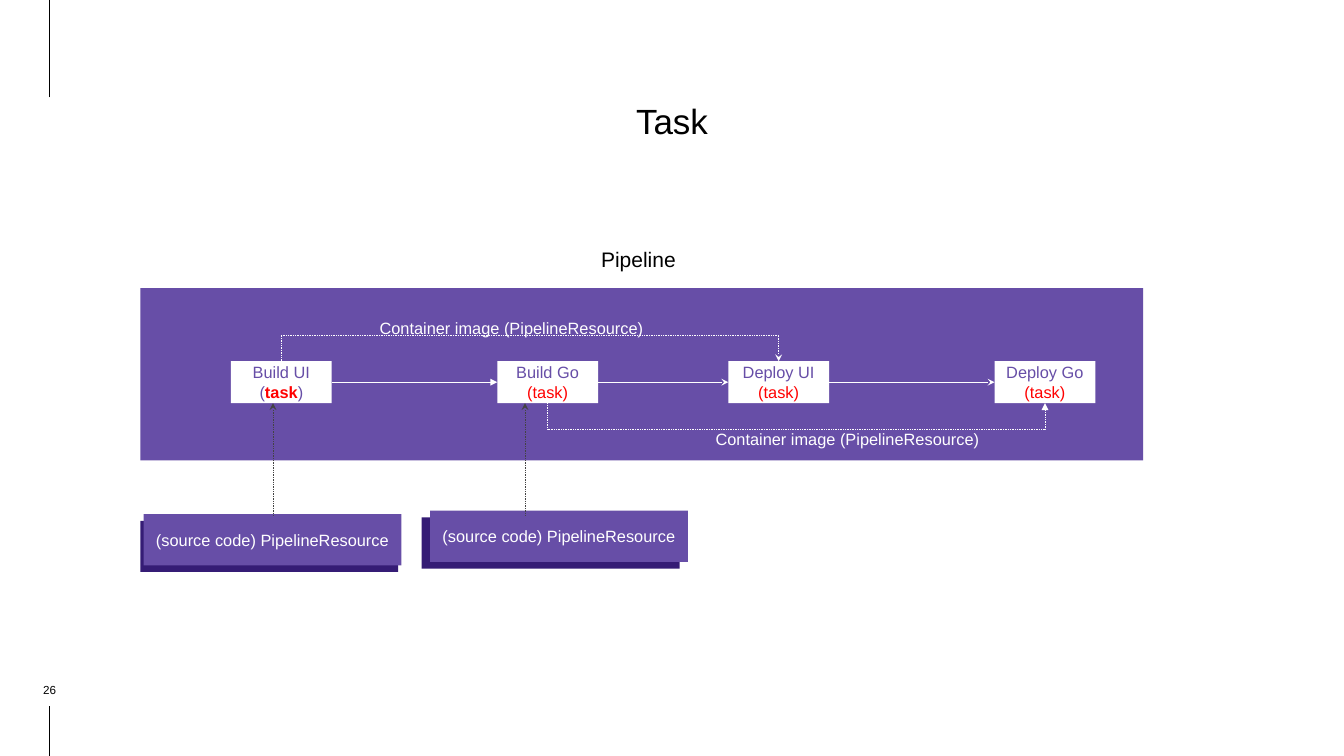
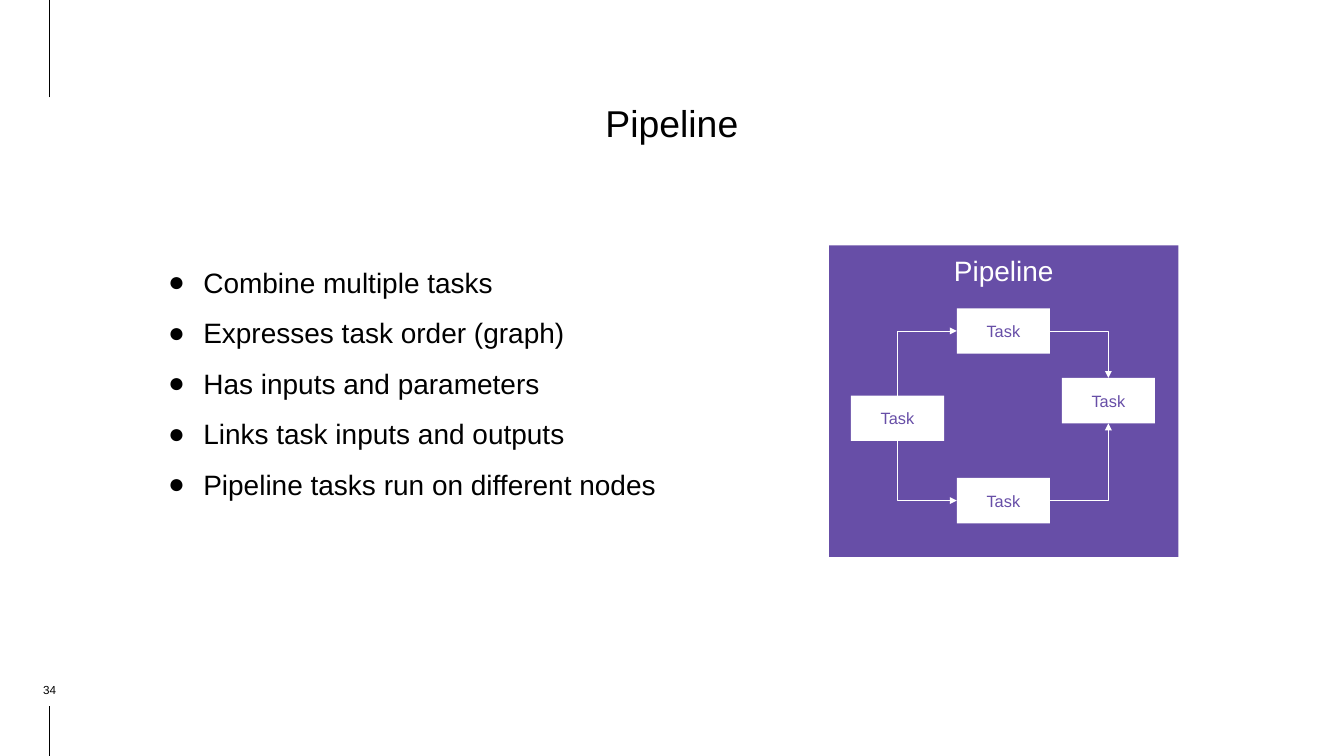
from lxml import etree
from pptx import Presentation
from pptx.dml.color import RGBColor
from pptx.enum.dml import MSO_LINE
from pptx.enum.shapes import MSO_CONNECTOR, MSO_SHAPE
from pptx.enum.text import MSO_ANCHOR, MSO_AUTO_SIZE, PP_ALIGN
from pptx.oxml.ns import qn
from pptx.util import Emu, Inches, Pt

RECTANGLE = MSO_SHAPE.RECTANGLE
STRAIGHT, ELBOW = MSO_CONNECTOR.STRAIGHT, MSO_CONNECTOR.ELBOW
DOTTED = MSO_LINE.ROUND_DOT
LEFT, CENTER = PP_ALIGN.LEFT, PP_ALIGN.CENTER
TOP, MIDDLE, BOTTOM = MSO_ANCHOR.TOP, MSO_ANCHOR.MIDDLE, MSO_ANCHOR.BOTTOM
NO_AUTOFIT = MSO_AUTO_SIZE.NONE

FONT = "Arial"
BLACK = RGBColor(0x00, 0x00, 0x00)
WHITE = RGBColor(0xFF, 0xFF, 0xFF)
PURPLE = RGBColor(0x67, 0x4E, 0xA7)
DARK_PURPLE = RGBColor(0x35, 0x1C, 0x75)
GRAY = RGBColor(0x43, 0x43, 0x43)
RED = RGBColor(0xFF, 0x00, 0x00)

# Connection sites of a rectangle
SITE_TOP, SITE_LEFT, SITE_BOTTOM, SITE_RIGHT = range(4)
QUARTER_TURN_BACK = "16200000"
LOOP_THICKNESS = Emu(600)
LOOP_DEPTH = Inches(0.26)

MARGIN_RULES = [(1.16, 0), (9, 8.4)]  # start and end height
MARGIN_RULE_X = 0.59

# Slide "Task"
TASK_TOP, TASK_WIDTH, TASK_HEIGHT = 4.3, 1.2, 0.5
TASKS = [("Build UI", 2.75), ("Build Go", 5.92), ("Deploy UI", 8.67), ("Deploy Go", 11.84)]
TASK_ARROWS = ["triangle", "stealth", "stealth"]
SOURCE_LABEL = "(source code) PipelineResource"
SOURCES = [(1.71, 6.12, 0.04), (5.12, 6.08, 0.1)]  # left, top, backing offset
SOURCE_SIZE = (3.07, 0.61)
BACKING_DROP = 0.08
SOURCE_ARROWS = [3.25, 6.25]
IMAGE_LABEL = "Container image (PipelineResource)"
# first task, last task, site, direction, arrowhead, label left and top
IMAGE_LOOPS = [
    (1, 3, SITE_BOTTOM, 1, "triangle", 8.42, 5.02),
    (0, 2, SITE_TOP, -1, "stealth", 4.42, 3.69),
]

# Slide "Pipeline"
BULLETS = [
    "Combine multiple tasks",
    "Expresses task order (graph)",
    "Has inputs and parameters",
    "Links task inputs and outputs",
    "Pipeline tasks run on different nodes",
]
NODE_SIZE = (1.11, 0.54)
NODES = {"first": (10.13, 4.71), "upper": (11.39, 3.67), "lower": (11.39, 5.69), "last": (12.64, 4.5)}
EDGES = [
    ("first", SITE_TOP, "upper", SITE_LEFT),
    ("first", SITE_BOTTOM, "lower", SITE_LEFT),
    ("upper", SITE_RIGHT, "last", SITE_TOP),
    ("lower", SITE_RIGHT, "last", SITE_BOTTOM),
]


def inches(*values):
    return [Inches(value) for value in values]


def set_text(shape, lines, size, color, align=CENTER, anchor=TOP, inset=0.1, spacing=None):
    """Fill a shape; a line is a string or a list of (text, color, bold) runs."""
    frame = shape.text_frame
    frame.word_wrap = True
    frame.auto_size = NO_AUTOFIT
    frame.vertical_anchor = anchor
    frame.margin_left = frame.margin_right = Inches(inset)
    frame.margin_top = frame.margin_bottom = Inches(inset)
    for index, line in enumerate(lines):
        paragraph = frame.paragraphs[0] if index == 0 else frame.add_paragraph()
        paragraph.alignment = align
        paragraph.space_before = Pt(0)
        paragraph.line_spacing = spacing
        for text, run_color, bold in [(line, color, False)] if isinstance(line, str) else line:
            run = paragraph.add_run()
            run.text = text
            run.font.name = FONT
            run.font.size = Pt(size)
            run.font.bold = bold
            run.font.color.rgb = run_color


def add_label(slide, box, text, size, color, **layout):
    set_text(slide.shapes.add_textbox(*inches(*box)), [text], size, color, **layout)


def add_box(slide, box, fill, lines=(), size=14, color=WHITE, anchor=MIDDLE):
    shape = slide.shapes.add_shape(RECTANGLE, *inches(*box))
    shape.shadow.inherit = False
    shape.fill.solid()
    shape.fill.fore_color.rgb = fill
    shape.line.fill.background()
    if lines:
        set_text(shape, lines, size, color, anchor=anchor)
    return shape


def add_line(slide, points=(0, 0, 0, 0), color=WHITE, arrow=None, dash=None, kind=STRAIGHT):
    line = slide.shapes.add_connector(kind, *inches(*points))
    line.line.color.rgb = color
    line.line.width = Pt(0.75)
    if dash:
        line.line.dash_style = dash
    properties = line._element.spPr
    if arrow:
        etree.SubElement(properties.find(qn("a:ln")), qn("a:tailEnd"), type=arrow)
    etree.SubElement(properties, qn("a:effectLst"))
    return line


def add_elbow(slide, begin, begin_site, end, end_site, preset, arrow, dash=None):
    line = add_line(slide, arrow=arrow, dash=dash, kind=ELBOW)
    line.begin_connect(begin, begin_site)
    line.end_connect(end, end_site)
    line._element.spPr.find(qn("a:prstGeom")).set("prst", preset)
    return line


def turn_upright(line, thickness, going_down):
    """Make an elbow leave its first shape vertically and run to the right."""
    center_x = (line.begin_x + line.end_x) // 2
    center_y = (line.begin_y + line.end_y) // 2
    span = abs(line.end_x - line.begin_x)
    transform = line._element.spPr.find(qn("a:xfrm"))
    for flip in ("flipH", "flipV"):
        transform.attrib.pop(flip, None)
    transform.set("rot", QUARTER_TURN_BACK)
    if going_down:
        transform.set("flipH", "1")
    line.left, line.top = center_x - thickness // 2, center_y - span // 2
    line.width, line.height = thickness, span


def add_loop(slide, begin, end, site, direction, arrow):
    line = add_elbow(slide, begin, site, end, site, "bentConnector3", arrow, DOTTED)
    turn_upright(line, LOOP_THICKNESS, True)
    geometry = line._element.spPr.find(qn("a:prstGeom"))
    guides = geometry.find(qn("a:avLst"))
    if guides is None:
        guides = etree.SubElement(geometry, qn("a:avLst"))
    depth = direction * LOOP_DEPTH * 100000 // LOOP_THICKNESS
    etree.SubElement(guides, qn("a:gd"), name="adj1", fmla=f"val {depth}")


def add_bullets(body):
    body.left, body.top, body.width, body.height = inches(1.92, 2.96, 7.69, 3.88)
    set_text(body, BULLETS, 24, BLACK, align=LEFT, inset=0, spacing=1.5)
    for paragraph in body.text_frame.paragraphs:
        properties = paragraph._p.get_or_add_pPr()
        properties.set("marL", str(Inches(0.5)))
        properties.set("indent", str(Inches(-0.42)))
        bullet_color = etree.SubElement(properties, qn("a:buClr"))
        etree.SubElement(bullet_color, qn("a:srgbClr"), val=str(BLACK))
        etree.SubElement(properties, qn("a:buFont"), typeface=FONT)
        etree.SubElement(properties, qn("a:buChar"), char="●")


def add_slide(presentation, layout_index, title, title_size, number):
    slide = presentation.slides.add_slide(presentation.slide_layouts[layout_index])
    set_text(slide.shapes.title, [title], title_size, BLACK, inset=0, spacing=1.3)
    add_label(slide, (0.11, 8.1, 0.96, 0.19), number, 10, BLACK, anchor=BOTTOM, inset=0)
    return slide


def style_master(presentation, slide):
    """Place the title and move the margin rules to the master."""
    master = presentation.slide_master
    title = master.placeholders[0]
    title.left, title.top, title.width, title.height = inches(3.25, 1.03, 9.5, 1.06)
    for start, end in MARGIN_RULES:
        rule = add_line(slide, (MARGIN_RULE_X, start, MARGIN_RULE_X, end), BLACK)
        master.shapes._spTree.append(rule._element)


def build_task_slide(slide):
    for left, top, offset in SOURCES:
        add_box(slide, (left - offset, top + BACKING_DROP, *SOURCE_SIZE), DARK_PURPLE)
        add_box(slide, (left, top, *SOURCE_SIZE), PURPLE, [SOURCE_LABEL])
    add_box(slide, (1.67, 3.43, 11.94, 2.05), PURPLE)
    add_label(slide, (6.29, 2.84, 2.62, 0.74), "Pipeline", 18, BLACK)

    boxes = []
    for index, (name, left) in enumerate(TASKS):
        kind = [("(task)", RED, False)]
        if index == 0:
            kind = [("(", PURPLE, False), ("task", RED, True), (")", PURPLE, False)]
        box = (left, TASK_TOP, TASK_WIDTH, TASK_HEIGHT)
        boxes.append(add_box(slide, box, WHITE, [name, kind], color=PURPLE))
    for begin, end, arrow in zip(boxes, boxes[1:], TASK_ARROWS):
        line = add_line(slide, arrow=arrow)
        line.begin_connect(begin, SITE_RIGHT)
        line.end_connect(end, SITE_LEFT)
    for first, last, site, direction, arrow, left, top in IMAGE_LOOPS:
        add_loop(slide, boxes[first], boxes[last], site, direction, arrow)
        add_label(slide, (left, top, 3.94, 0.19), IMAGE_LABEL, 14, WHITE, align=LEFT)
    for x in SOURCE_ARROWS:
        add_line(slide, (x, 6.14, x, TASK_TOP + TASK_HEIGHT), GRAY, "stealth", DOTTED)


def build_pipeline_slide(slide):
    add_bullets(slide.placeholders[1])
    add_box(slide, (9.87, 2.92, 4.16, 3.71), PURPLE, ["Pipeline"], 24, anchor=TOP)
    boxes = {
        name: add_box(slide, (*corner, *NODE_SIZE), WHITE, ["Task"], color=PURPLE)
        for name, corner in NODES.items()
    }
    for begin, begin_site, end, end_site in EDGES:
        line = add_elbow(slide, boxes[begin], begin_site, boxes[end], end_site,
                         "bentConnector2", "triangle")
        if begin_site in (SITE_TOP, SITE_BOTTOM):
            turn_upright(line, line.height, begin_site == SITE_BOTTOM)


def main():
    presentation = Presentation()
    presentation.slide_width, presentation.slide_height = inches(16, 9)
    task_slide = add_slide(presentation, 5, "Task", 30, "26")
    style_master(presentation, task_slide)
    build_task_slide(task_slide)
    build_pipeline_slide(add_slide(presentation, 1, "Pipeline", 32, "34"))
    presentation.save("out.pptx")


if __name__ == "__main__":
    main()
